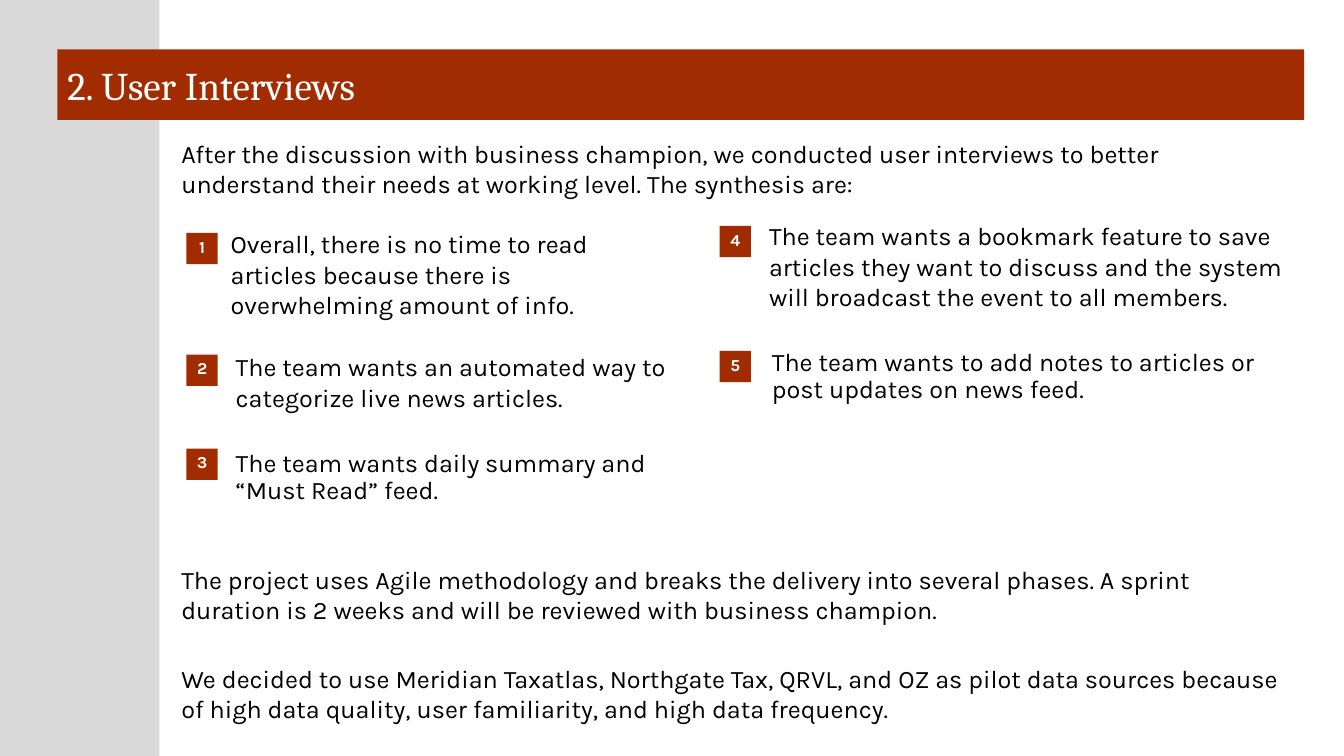
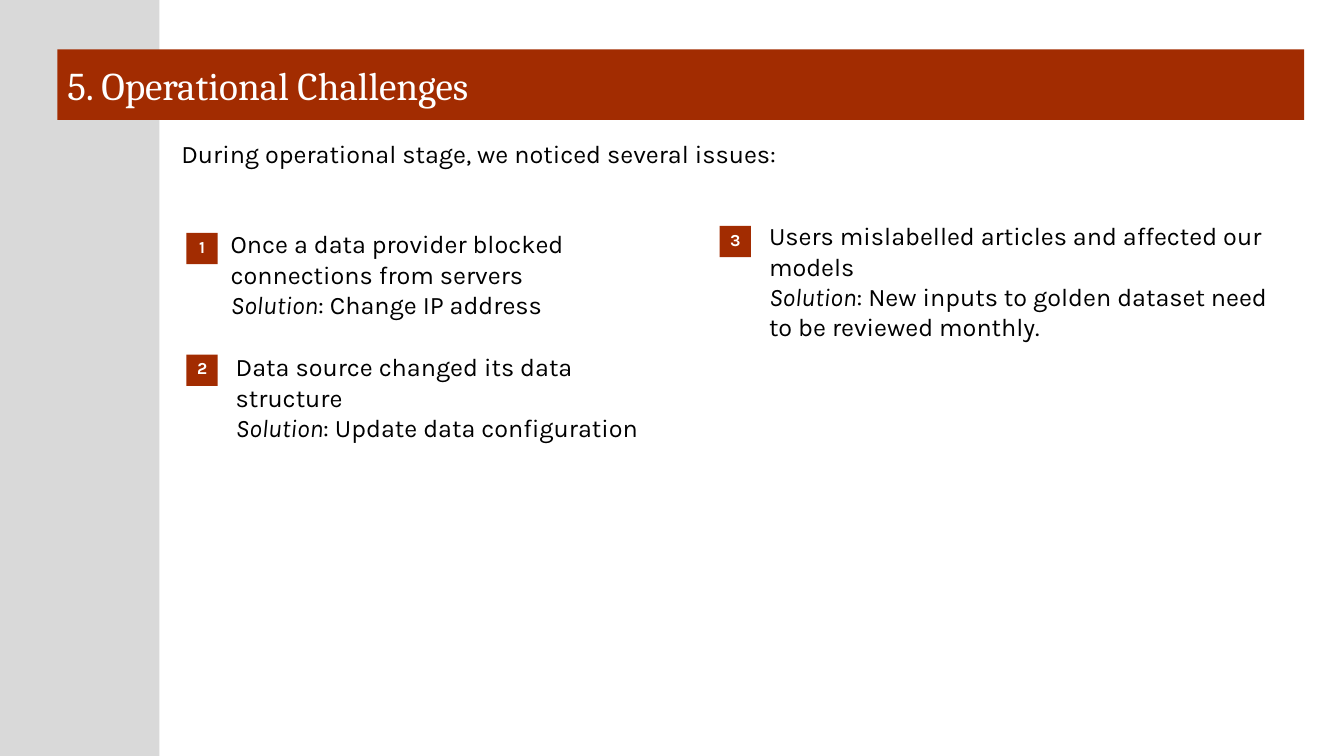
from pptx import Presentation
from pptx.dml.color import RGBColor
from pptx.enum import shapes, text
from pptx.util import Pt

COLORS = {"strip": "D9D9D9", "accent": "A22C01", "light": "FFFFFF", "body": "000000"}
BODY_FONT, TITLE_FONT = "Karla", "Cambria"
BADGE_SIZE = 22.3
LEFT_BADGE, RIGHT_BADGE = 133.2, 514.1
LEFT_WIDTH, RIGHT_WIDTH = 323.3, 387.4
INTRO_TOP = 95

deck = Presentation()
deck.slide_width, deck.slide_height = Pt(960), Pt(540)


def add_block(slide, box, fill=None):
    left, top, width, height = map(Pt, box)
    if fill is None:
        block = slide.shapes.add_textbox(left, top, width, height)
    else:
        block = slide.shapes.add_shape(shapes.MSO_SHAPE.RECTANGLE, left, top, width, height)
        block.shadow.inherit = False
        block.fill.solid()
        block.fill.fore_color.rgb = RGBColor.from_string(COLORS[fill])
        block.line.fill.background()
    block.text_frame.word_wrap = True
    return block.text_frame


def write(frame, paragraphs, size=18, font=BODY_FONT, color="body", bold=False,
          align=text.PP_ALIGN.LEFT, spacing=None):
    for index, pieces in enumerate(paragraphs):
        paragraph = frame.add_paragraph() if index else frame.paragraphs[0]
        paragraph.alignment = align
        paragraph.line_spacing = spacing
        for wording, italic in pieces:
            run = paragraph.add_run()
            run.text = wording
            run.font.size, run.font.name = Pt(size), font
            run.font.bold, run.font.italic = bold, italic
            run.font.color.rgb = RGBColor.from_string(COLORS[color])


slots = {
    "left 1": (LEFT_BADGE, 166.3, 157.7, 159.8, LEFT_WIDTH),
    "left 2": (LEFT_BADGE, 253.4, 161.3, 247.7, LEFT_WIDTH),
    "left 3": (LEFT_BADGE, 320.4, 161.3, 318.2, LEFT_WIDTH),
    "right 1": (RIGHT_BADGE, 161.3, 542.2, 154.1, RIGHT_WIDTH),
    "right 2": (RIGHT_BADGE, 250.6, 544.3, 246.2, RIGHT_WIDTH),
}
tight_slots = ("left 3", "right 2")

pages = [
    {
        "title": "2. User Interviews",
        "statements": [
            (INTRO_TOP, "After the discussion with business champion, we conducted user interviews "
                        "to better understand their needs at working level. The synthesis are:"),
            (399.6, "The project uses Agile methodology and breaks the delivery into several phases. "
                    "A sprint duration is 2 weeks and will be reviewed with business champion."),
            (470.2, "We decided to use Meridian Taxatlas, Northgate Tax, QRVL, and OZ as pilot data "
                    "sources because of high data quality, user familiarity, and high data frequency."),
        ],
        "findings": [
            ("left 1", "Overall, there is no time to read articles because there is "
                       "overwhelming amount of info.", None),
            ("left 2", "The team wants an automated way to categorize live news articles.", None),
            ("left 3", "The team wants daily summary and \u201cMust Read\u201d feed.", None),
            ("right 1", "The team wants a bookmark feature to save articles they want to discuss "
                        "and the system will broadcast the event to all members.", None),
            ("right 2", "The team wants to add notes to articles or post updates on news feed.", None),
        ],
    },
    {
        "title": "5. Operational Challenges",
        "statements": [(INTRO_TOP, "During operational stage, we noticed several issues:")],
        "findings": [
            ("left 1", "Once a data provider blocked connections from servers", "Change IP address"),
            ("left 2", "Data source changed its data structure", "Update data configuration"),
            ("right 1", "Users mislabelled articles and affected our models",
             "New inputs to golden dataset need to be reviewed monthly."),
        ],
    },
]

for page in pages:
    slide = deck.slides.add_slide(deck.slide_layouts[6])
    add_block(slide, (0, 0, 113.8, 540), "strip")
    title = add_block(slide, (41, 35.3, 890.6, 50.4), "accent")
    title.vertical_anchor = text.MSO_ANCHOR.MIDDLE
    write(title, [[(page["title"], False)]], 28, TITLE_FONT, "light")

    for number, (slot, finding, solution) in enumerate(page["findings"], 1):
        badge_left, badge_top, left, top, width = slots[slot]
        badge = add_block(slide, (badge_left, badge_top, BADGE_SIZE, BADGE_SIZE), "accent")
        badge.margin_left = badge.margin_right = badge.margin_top = 0
        badge.margin_bottom = Pt(3)
        badge.vertical_anchor = text.MSO_ANCHOR.MIDDLE
        write(badge, [[(str(number), False)]], 12, color="light", bold=True,
              align=text.PP_ALIGN.CENTER)

        paragraphs = [[(finding, False)]]
        if solution:
            paragraphs.append([("Solution", True), (": " + solution, False)])
        write(add_block(slide, (left, top, width, 77)), paragraphs,
              spacing=0.9 if slot in tight_slots else None)

    for top, statement in page["statements"]:
        write(add_block(slide, (122.4, top, 805, 47.5)), [[(statement, False)]])

deck.save("out.pptx")
